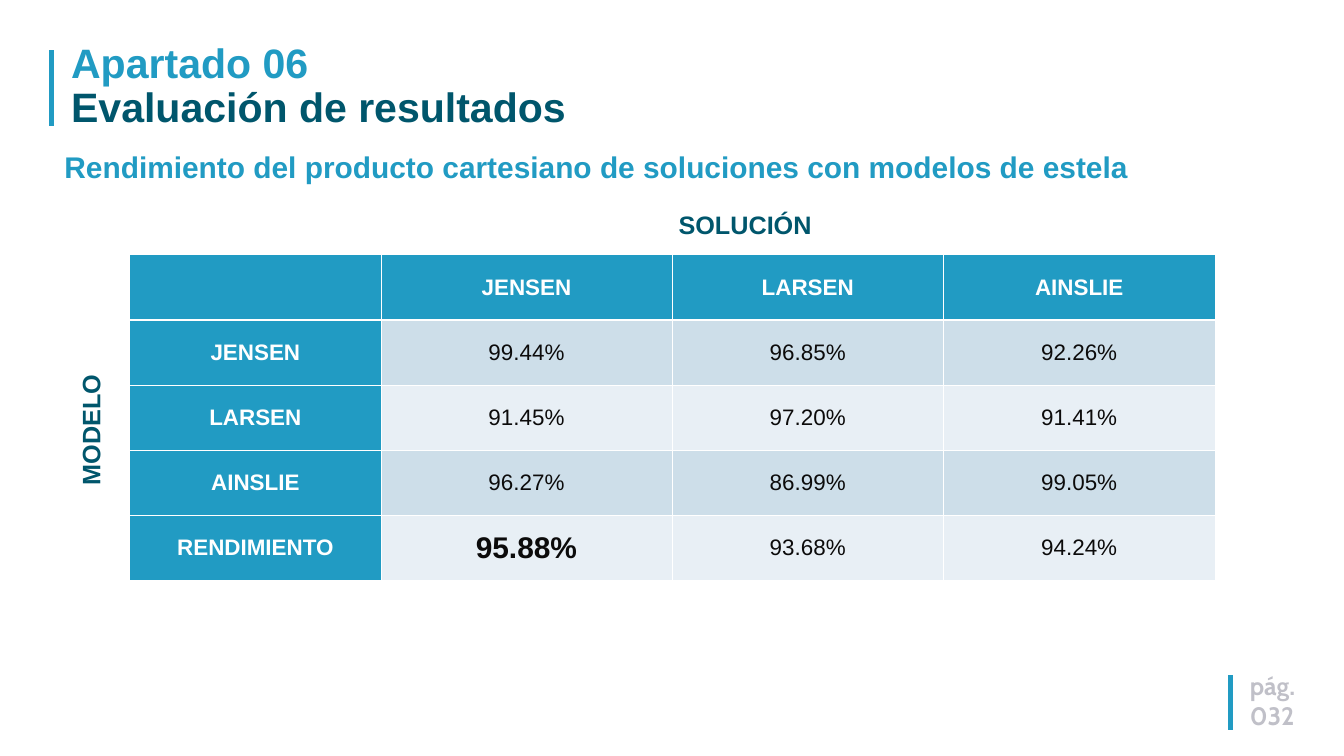
from dataclasses import dataclass

from lxml import etree
from pptx import Presentation
from pptx.dml.color import RGBColor
from pptx.enum import shapes, text
from pptx.oxml import ns
from pptx.util import Pt

PX = 9144


@dataclass(frozen=True)
class Theme:
    blue: str = "219BC3"
    teal: str = "00566C"
    grey: str = "C0C0C8"
    ink: str = "0C0B0B"
    white: str = "FFFFFF"
    bands: tuple = ("CDDEE9", "E8EFF5")
    font: str = "Arial"
    page_font: str = "Cabin"
    title: int = 44
    heading: int = 32
    label: int = 27
    body: int = 24
    rule: int = 5


THEME = Theme()
COLUMNS = (374, 433, 404, 404)
ROW_HEIGHT = 97
HEADERS = ("", "JENSEN", "LARSEN", "AINSLIE")
RESULTS = (
    ("JENSEN", "99.44%", "96.85%", "92.26%"),
    ("LARSEN", "91.45%", "97.20%", "91.41%"),
    ("AINSLIE", "96.27%", "86.99%", "99.05%"),
    ("RENDIMIENTO", "95.88%", "93.68%", "94.24%"),
)
BEST = "95.88%"


def px(*lengths):
    return [length * PX for length in lengths]


def assign(target, values):
    for name, value in values.items():
        setattr(target, name, value)


def add_span(para, words, size, color, bold=True, font=THEME.font):
    span = para.add_run()
    span.text = words
    assign(span.font, {"size": Pt(size), "bold": bold, "name": font})
    span.font.color.rgb = RGBColor.from_string(color)


def add_box(page, area, wrap=True):
    box = page.shapes.add_textbox(*px(*area))
    box.text_frame.word_wrap = wrap
    return box


def add_title(page, section, name):
    para = add_box(page, (96, 59, 793, 143)).text_frame.paragraphs[0]
    para.line_spacing = 0.9
    add_span(para, section, THEME.title, THEME.blue)
    para.add_line_break()
    add_span(para, name, THEME.title, THEME.teal)


def add_heading(page, words):
    para = add_box(page, (86, 222, 1626, 84)).text_frame.paragraphs[0]
    para.line_spacing = 0.9
    add_span(para, words, THEME.heading, THEME.blue)


def add_axis_label(page, words, left, top, rotation=0):
    box = add_box(page, (left, top, 222, 56), wrap=False)
    box.rotation = rotation
    add_span(box.text_frame.paragraphs[0], words, THEME.label, THEME.teal)


def add_page_label(page, lines):
    frame = add_box(page, (1850, 992, 150, 101)).text_frame
    for index, words in enumerate(lines):
        para = frame.add_paragraph() if index else frame.paragraphs[0]
        add_span(para, words, THEME.label, THEME.grey, font=THEME.page_font)


def add_rule(page, left, top, bottom):
    rule = page.shapes.add_connector(
        shapes.MSO_CONNECTOR.STRAIGHT, *px(left, top, left, bottom))
    rule.line.color.rgb = RGBColor.from_string(THEME.blue)
    rule.line.width = Pt(THEME.rule)
    etree.SubElement(rule._element.spPr, ns.qn("a:effectLst"))


def add_borders(cell, widths):
    properties = cell._tc.get_or_add_tcPr()
    for index, (side, width) in enumerate(widths.items()):
        border = etree.Element(ns.qn(f"a:ln{side}"), w=str(Pt(width)))
        fill = etree.SubElement(border, ns.qn("a:solidFill"))
        etree.SubElement(fill, ns.qn("a:srgbClr"), val=THEME.white)
        properties.insert(index, border)


def fill_cell(cell, words, row, column):
    header = row == 0 or column == 0
    best = words == BEST
    assign(cell, dict(zip(
        ("margin_left", "margin_right", "margin_top", "margin_bottom"),
        px(7, 7, 0, 0))))
    cell.vertical_anchor = text.MSO_ANCHOR.MIDDLE
    cell.fill.solid()
    color = THEME.blue if header else THEME.bands[(row - 1) % 2]
    cell.fill.fore_color.rgb = RGBColor.from_string(color)
    add_borders(cell, {"L": 1, "R": 1, "T": 3 if row == 1 else 1,
                       "B": 3 if row == 0 else 1})
    para = cell.text_frame.paragraphs[0]
    para.alignment = text.PP_ALIGN.CENTER
    if words:
        add_span(para, words, THEME.heading if best else THEME.body,
                 THEME.white if header else THEME.ink, header or best)


def add_results(page, left, top):
    rows = (HEADERS, *RESULTS)
    table = page.shapes.add_table(
        len(rows), len(COLUMNS),
        *px(left, top, sum(COLUMNS), ROW_HEIGHT * len(rows))).table
    for column, width in zip(table.columns, COLUMNS):
        column.width = width * PX
    for row, values in enumerate(rows):
        table.rows[row].height = ROW_HEIGHT * PX
        for column, words in enumerate(values):
            fill_cell(table.cell(row, column), words, row, column)


def main():
    deck = Presentation()
    deck.slide_width, deck.slide_height = px(2000, 1125)
    page = deck.slides.add_slide(deck.slide_layouts[6])
    add_rule(page, 1831, 1005, 1086)
    add_rule(page, 77, 75, 188)
    add_title(page, "Apartado 06", "Evaluación de resultados")
    add_page_label(page, ("pág.", "032"))
    add_results(page, 193, 379)
    add_axis_label(page, "SOLUCIÓN", 1000, 306)
    add_axis_label(page, "MODELO", 24, 593, rotation=270)
    add_heading(page, "Rendimiento del producto cartesiano de soluciones "
                      "con modelos de estela")
    deck.save("out.pptx")


if __name__ == "__main__":
    main()
